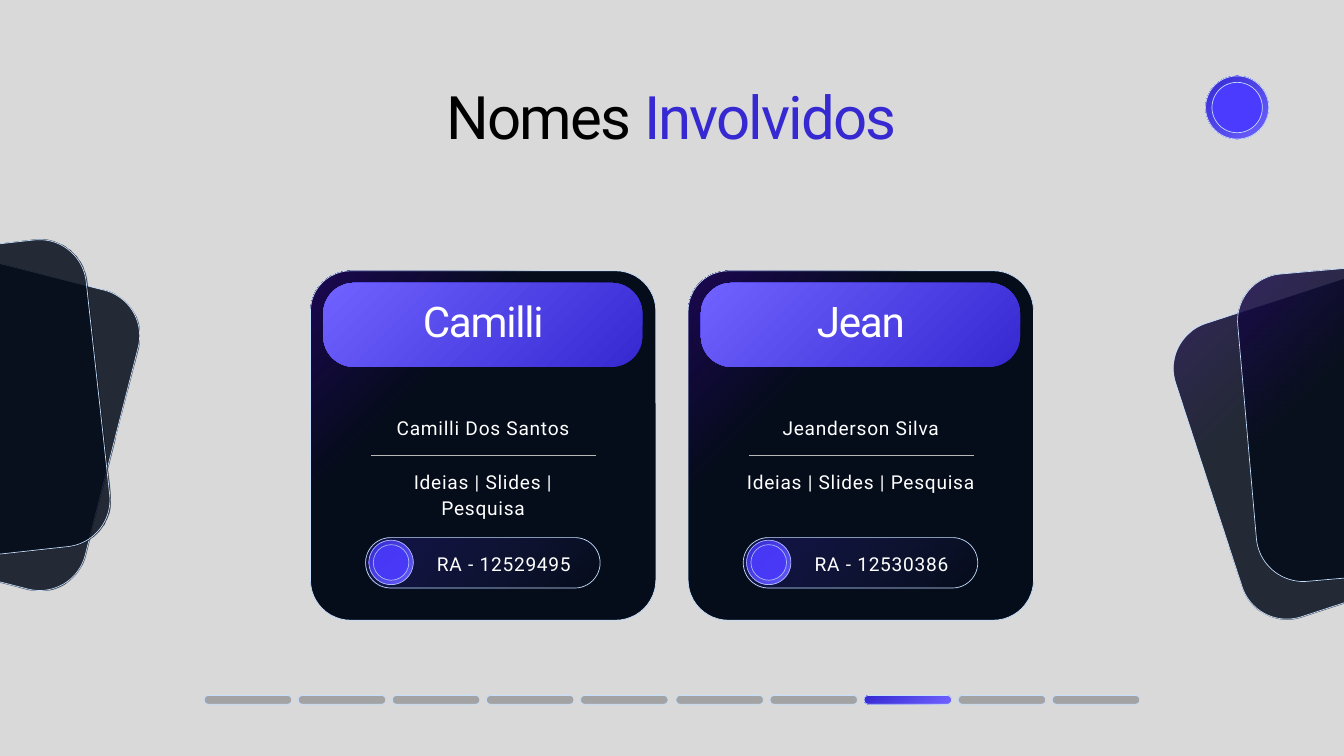
from lxml import etree
from pptx import Presentation
from pptx.dml.color import RGBColor
from pptx.enum.shapes import MSO_CONNECTOR, MSO_SHAPE
from pptx.enum.text import MSO_ANCHOR, PP_ALIGN
from pptx.oxml import parse_xml
from pptx.oxml.ns import nsdecls, qn
from pptx.util import Inches, Pt

ROUNDED, OVAL = MSO_SHAPE.ROUNDED_RECTANGLE, MSO_SHAPE.OVAL
STRAIGHT = MSO_CONNECTOR.STRAIGHT
CENTER, TOP = PP_ALIGN.CENTER, MSO_ANCHOR.TOP

FONT = "Roboto"
BACKGROUND = RGBColor(0xD9, 0xD9, 0xD9)
BLACK = RGBColor(0x00, 0x00, 0x00)
WHITE = RGBColor(0xFF, 0xFF, 0xFF)
INDIGO = RGBColor(0x36, 0x29, 0xD1)
VIOLET = RGBColor(0x6F, 0x62, 0xFF)
BLUE = RGBColor(0x4B, 0x3B, 0xFE)
PURPLE = RGBColor(0x1B, 0x07, 0x52)
NAVY = RGBColor(0x05, 0x0C, 0x1A)
OUTLINE = RGBColor(0xC5, 0xDF, 0xFF)
RULE = RGBColor(0xB8, 0xB8, 0xB8)
GREY = RGBColor(0xA3, 0xA3, 0xA3)

# Gradient stops: position %, colour, opacity %
ACCENT = [(0, INDIGO, 100), (100, VIOLET, 100)]
HEADER = [(0, VIOLET, 100), (100, INDIGO, 100)]
DARK = [(0, PURPLE, 100), (33, NAVY, 100), (100, NAVY, 100)]
DARK_GLASS = [(pos, color, 85) for pos, color, _ in DARK]
PILL = [(0, INDIGO, 26), (100, VIOLET, 0)]

TITLE = [("Nomes ", BLACK), ("Involvidos", INDIGO)]
MEMBERS = [  # short name, full name, tasks, registration, body width
    ("Camilli", "Camilli Dos Santos", "Ideias | Slides | Pesquisa", "RA - 12529495", 3.05),
    ("Jean", "Jeanderson Silva", "Ideias | Slides | Pesquisa", "RA - 12530386", 4.12),
]
SIDE_CARDS = [  # left, top, rotation
    (17.88, 4.24, 341.9),
    (18.55, 3.94, 355),
    (-2.64, 3.88, 14.3),
    (-2.9, 3.72, 353.7),
]
CARD_LEFT, CARD_TOP, CARD_W, CARD_H, CARD_PITCH = 4.62, 4.03, 5.14, 5.2, 5.62
BAR_GROUPS, BARS_PER_GROUP, BAR_PITCH, ACTIVE_BAR = (3.04, 10.06), 5, 1.4, 7


def set_gradient(sp, stops):
    """Radial gradient that spreads from the top left corner."""
    gs = "".join(
        f'<a:gs pos="{pos * 1000}"><a:srgbClr val="{color}">'
        f'<a:alpha val="{alpha * 1000}"/></a:srgbClr></a:gs>'
        for pos, color, alpha in stops)
    grad = parse_xml(
        f'<a:gradFill {nsdecls("a")} rotWithShape="1"><a:gsLst>{gs}</a:gsLst>'
        '<a:path path="circle"><a:fillToRect l="0" t="0" r="100000" b="100000"/>'
        '</a:path></a:gradFill>')
    sp._element.spPr.find(qn("a:prstGeom")).addnext(grad)


def add_panel(s, kind, x, y, w, h, fill, radius=0, outlined=True):
    sp = s.shapes.add_shape(kind, Inches(x), Inches(y), Inches(w), Inches(h))
    sp.shadow.inherit = False
    if kind == ROUNDED:
        sp.adjustments[0] = radius / min(w, h)
    if isinstance(fill, list):
        set_gradient(sp, fill)
    else:
        sp.fill.solid()
        sp.fill.fore_color.rgb = fill
    if outlined:
        sp.line.color.rgb = OUTLINE
        sp.line.width = Pt(0.75)
    else:
        sp.line.fill.background()
    return sp


def add_knob(s, cx, cy, outer, inner):
    for size, fill in ((outer, ACCENT), (inner, BLUE)):
        add_panel(s, OVAL, cx - size / 2, cy - size / 2, size, size, fill)


def prepare_frame(tf):
    tf.margin_left = tf.margin_right = tf.margin_top = tf.margin_bottom = 0
    tf.word_wrap = True
    tf.vertical_anchor = TOP


def format_paragraph(p, size, leading, spacing, color=WHITE):
    p.alignment = CENTER
    p.line_spacing = Pt(leading)
    for r in p.runs:
        r.font.name = FONT
        r.font.size = Pt(size)
        r.font.color.rgb = color
        r._r.get_or_add_rPr().set("spc", str(round(spacing * 100)))


def add_text(s, x, y, w, h, lines, size, leading, spacing):
    tf = s.shapes.add_textbox(Inches(x), Inches(y), Inches(w), Inches(h)).text_frame
    prepare_frame(tf)
    tf.text = "\n".join(lines)
    for i, p in enumerate(tf.paragraphs):
        format_paragraph(p, size, leading, spacing)
        if i:
            p.space_before = Pt(leading)


def add_title(s):
    title = s.shapes.title
    title.left, title.top = Inches(6.46), Inches(1.35)
    title.width, title.height = Inches(7.07), Inches(0.95)
    tf = title.text_frame
    prepare_frame(tf)
    p = tf.paragraphs[0]
    for text, _ in TITLE:
        p.add_run().text = text
    format_paragraph(p, 64.2, 65.4, -2)
    for r, (_, color) in zip(p.runs, TITLE):
        r.font.color.rgb = color


def add_rule(s, x, y, w):
    line = s.shapes.add_connector(STRAIGHT, Inches(x), Inches(y), Inches(x + w), Inches(y))
    line.line.color.rgb = RULE
    line.line.width = Pt(0.75)
    etree.SubElement(line._element.spPr, qn("a:effectLst"))


def add_member_card(s, x, member):
    name, full_name, tasks, registration, body_w = member
    add_panel(s, ROUNDED, x, CARD_TOP, CARD_W, CARD_H, DARK, 0.6)
    add_panel(s, ROUNDED, x + 0.19, 4.21, 4.75, 1.25, HEADER, 0.46, outlined=False)
    add_text(s, x + 0.73, 4.51, 3.68, 0.67, [name], 45.2, 46.1, -1.4)
    add_text(s, x + (CARD_W - body_w) / 2, 6.14, body_w, 1.57,
             [full_name, tasks], 20.5, 28.7, 0.8)
    add_rule(s, x + 0.9, 6.77, 3.35)
    add_knob(s, x + 1.2, 8.37, 0.66, 0.53)
    add_panel(s, ROUNDED, x + 0.82, 8, 3.49, 0.75, PILL, 0.38)
    add_text(s, x + 1.44, 8.16, 2.88, 0.38, [registration], 20.5, 28.7, 0.8)


def main():
    prs = Presentation()
    prs.slide_width, prs.slide_height = Inches(20), Inches(11.25)
    s = prs.slides.add_slide(prs.slide_layouts[5])
    s.background.fill.solid()
    s.background.fill.fore_color.rgb = BACKGROUND

    add_title(s)
    add_knob(s, 18.41, 1.6, 0.94, 0.75)
    for x, y, rotation in SIDE_CARDS:
        add_panel(s, ROUNDED, x, y, 4.37, 4.59, DARK_GLASS, 0.7).rotation = rotation
    for i, member in enumerate(MEMBERS):
        add_member_card(s, CARD_LEFT + i * CARD_PITCH, member)

    bar_lefts = [x + i * BAR_PITCH for x in BAR_GROUPS for i in range(BARS_PER_GROUP)]
    for i, x in enumerate(bar_lefts):
        add_panel(s, ROUNDED, x, 10.35, 1.3, 0.13, ACCENT if i == ACTIVE_BAR else GREY, 0.06)

    prs.save("out.pptx")


if __name__ == "__main__":
    main()
